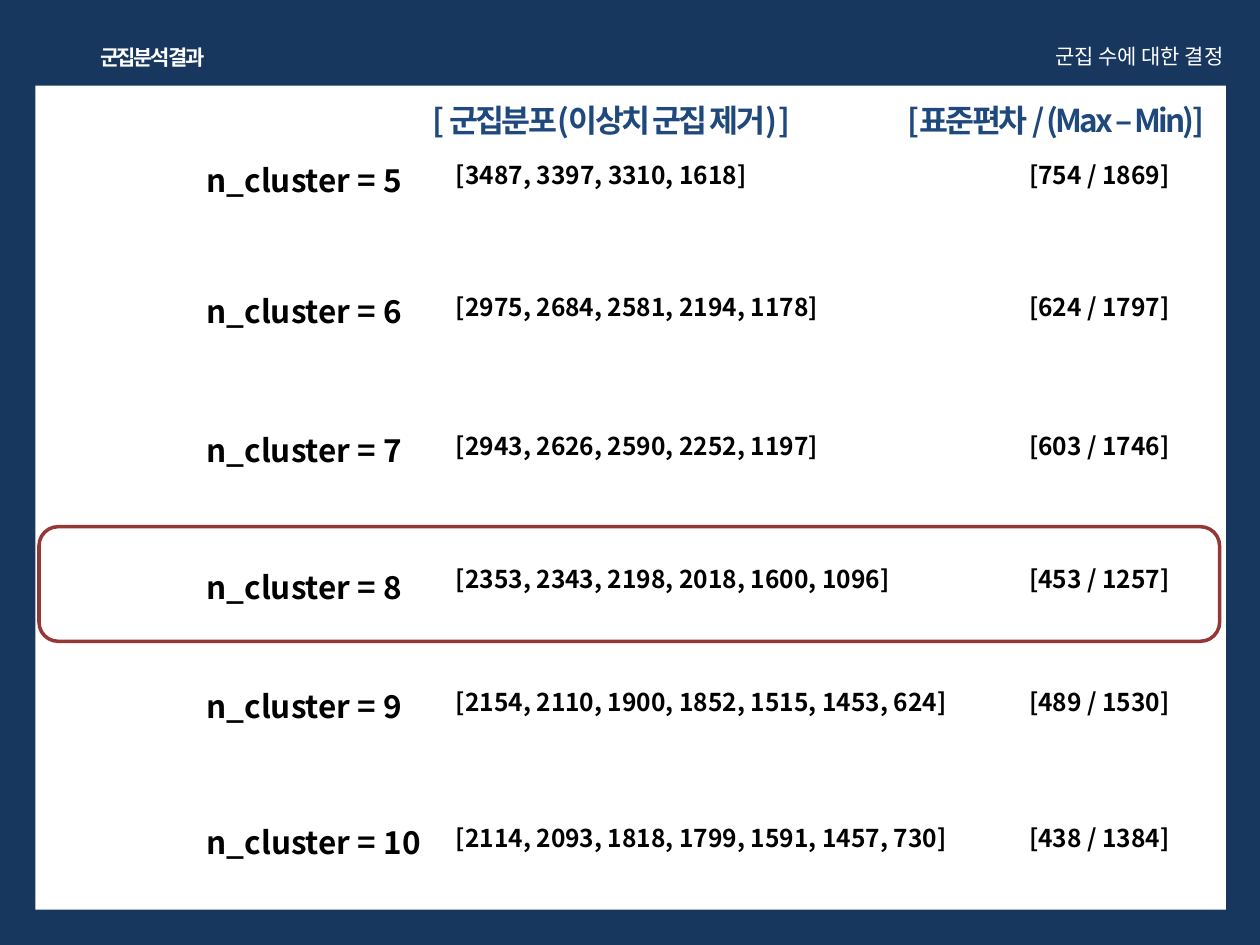
from dataclasses import dataclass

from lxml.etree import SubElement
from pptx import Presentation
from pptx.dml.color import RGBColor
from pptx.enum.shapes import MSO_SHAPE as Shape
from pptx.enum.text import MSO_ANCHOR as Anchor, MSO_AUTO_SIZE as AutoSize, PP_ALIGN as Align
from pptx.oxml.ns import qn
from pptx.util import Inches, Pt


@dataclass(frozen=True)
class Theme:
    font: str = "Noto Sans CJK KR"
    navy: RGBColor = RGBColor(0x17, 0x37, 0x5E)
    blue: RGBColor = RGBColor(0x1F, 0x49, 0x7D)
    red: RGBColor = RGBColor(0x95, 0x37, 0x35)
    white: RGBColor = RGBColor(0xFF, 0xFF, 0xFF)
    black: RGBColor = RGBColor(0, 0, 0)
    header: Pt = Pt(12)
    heading: Pt = Pt(18)
    value: Pt = Pt(14)


theme = Theme()


def write(box, text, size, color, bold=True, align=Align.LEFT, tight=False, wrap=False):
    """Fill a text box or placeholder; tight narrows the letter spacing."""
    frame = box.text_frame
    frame.text = text
    frame.word_wrap = wrap
    frame.auto_size = AutoSize.SHAPE_TO_FIT_TEXT
    frame.vertical_anchor = Anchor.TOP
    paragraph = frame.paragraphs[0]
    paragraph.alignment = align
    run = paragraph.runs[0]
    font = run.font
    font.name, font.size, font.bold = theme.font, size, bold
    font.color.rgb = color
    properties = run._r.get_or_add_rPr()
    SubElement(properties, qn("a:ea")).set("typeface", theme.font)
    if tight:
        properties.set("spc", "-150")


prs = Presentation()
prs.slide_width, prs.slide_height = Inches(10), Inches(7.5)
slide = prs.slides.add_slide(prs.slide_layouts[5])
slide.background.fill.solid()
slide.background.fill.fore_color.rgb = theme.navy


def text_box(left, top, width, height):
    return slide.shapes.add_textbox(Inches(left), Inches(top), Inches(width), Inches(height))


# White panel and header
panel = slide.shapes.add_shape(
    Shape.RECTANGLE, Inches(0.28), Inches(0.68), Inches(9.45), Inches(6.54))
panel.shadow.inherit = False
panel.fill.solid()
panel.fill.fore_color.rgb = theme.white
panel.line.fill.background()

title = slide.shapes.title
title.left, title.top = Inches(0.65), Inches(0.3)
title.width, title.height = Inches(1.12), Inches(0.3)
write(title, "군집분석 결과", theme.header, theme.white, align=Align.CENTER, tight=True)
write(text_box(5.87, 0.3, 3.94, 0.3), "군집 수에 대한 결정", theme.header, theme.white,
      bold=False, align=Align.RIGHT, wrap=True)

# Column headings
for left, width, heading in [
    (3.09, 3.53, "[ 군집분포(이상치 군집 제거) ]"),
    (6.72, 3.32, "[표준편차 / (Max – Min)]"),
]:
    write(text_box(left, 0.75, width, 0.4), heading, theme.heading, theme.blue,
          align=Align.CENTER, tight=True, wrap=True)

# One row per cluster count: label top, value top, distribution width, distribution, deviation
results = [
    (1.23, 1.22, 2.52, "[3487, 3397, 3310, 1618]", "[754 / 1869]"),
    (2.27, 2.27, 3.1, "[2975, 2684, 2581, 2194, 1178]", "[624 / 1797]"),
    (3.37, 3.37, 3.1, "[2943, 2626, 2590, 2252, 1197]", "[603 / 1746]"),
    (4.46, 4.43, 3.67, "[2353, 2343, 2198, 2018, 1600, 1096]", "[453 / 1257]"),
    (5.4, 5.4, 4.13, "[2154, 2110, 1900, 1852, 1515, 1453, 624]", "[489 / 1530]"),
    (6.48, 6.48, 4.13, "[2114, 2093, 1818, 1799, 1591, 1457, 730]", "[438 / 1384]"),
]
for count, (label_top, value_top, width, distribution, deviation) in enumerate(results, start=5):
    label_width = 1.77 if count < 10 else 1.91
    write(text_box(1.54, label_top, label_width, 0.4), f"n_cluster = {count}",
          theme.heading, theme.black)
    write(text_box(3.52, value_top, width, 0.34), distribution, theme.value, theme.black)
    write(text_box(8.07, value_top, 1.36, 0.34), deviation, theme.value, theme.black)

# Outline around the chosen count
choice = slide.shapes.add_shape(
    Shape.ROUNDED_RECTANGLE, Inches(0.31), Inches(4.18), Inches(9.37), Inches(0.91))
choice.shadow.inherit = False
choice.fill.background()
choice.line.color.rgb = theme.red
choice.line.width = Pt(2)

prs.save("out.pptx")
